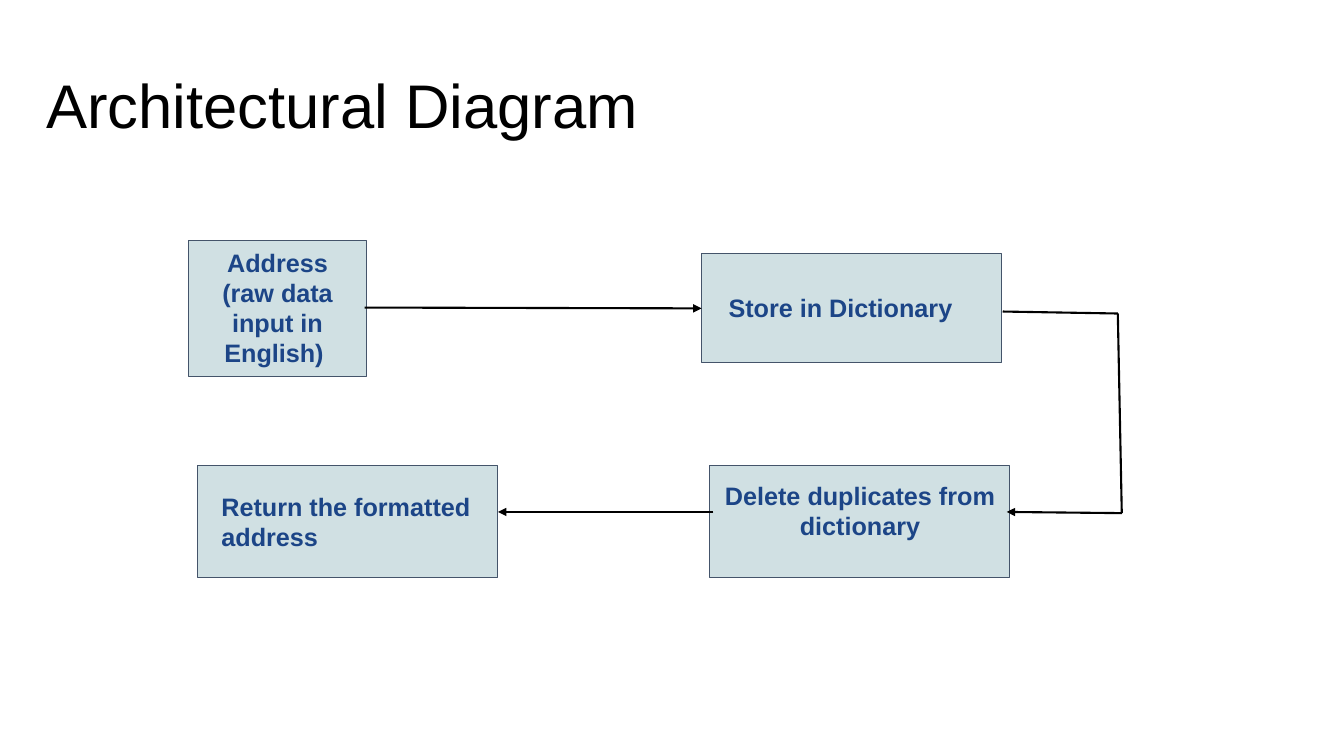
from lxml import etree
from pptx import Presentation
from pptx.dml.color import RGBColor
from pptx.enum.shapes import MSO_CONNECTOR, MSO_SHAPE
from pptx.enum.text import MSO_ANCHOR, MSO_AUTO_SIZE, PP_ALIGN
from pptx.oxml.ns import qn
from pptx.util import Cm, Pt

LEFT, CENTER = PP_ALIGN.LEFT, PP_ALIGN.CENTER
RECTANGLE = MSO_SHAPE.RECTANGLE
STRAIGHT = MSO_CONNECTOR.STRAIGHT
FONT = "Arial"
COLORS = {
    "title": "000000",
    "step_fill": "D0E0E3",
    "step_border": "44546A",
    "step_text": "1C4587",
    "flow": "000000",
}


def color(role):
    return RGBColor.from_string(COLORS[role])


def format_runs(paragraph, size, role, bold):
    for run in paragraph.runs:
        run.font.name = FONT
        run.font.size = Pt(size)
        run.font.bold = bold
        run.font.color.rgb = color(role)


presentation = Presentation()
presentation.slide_width, presentation.slide_height = Cm(33.87), Cm(19.05)
slide = presentation.slides.add_slide(presentation.slide_layouts[5])

# Title
title = slide.shapes.title
title.left, title.top, title.width, title.height = Cm(0.91), Cm(0.89), Cm(29.21), Cm(3.68)
heading = title.text_frame
heading.text = "Architectural Diagram"
heading.auto_size = MSO_AUTO_SIZE.NONE
heading.vertical_anchor = MSO_ANCHOR.MIDDLE
heading.paragraphs[0].alignment = LEFT
heading.paragraphs[0].line_spacing = 0.9
format_runs(heading.paragraphs[0], 44, "title", False)

# Steps: wording, alignment, box and label areas (left, top, width, height in cm)
steps = [
    ("Address\n(raw data input in English) ", CENTER,
     (4.75, 6.05, 4.5, 3.43), (4.8, 5.97, 4.39, 3.58)),
    ("Store in Dictionary", LEFT,
     (17.68, 6.4, 7.57, 2.74), (18.11, 7.11, 7.04, 1.27)),
    ("Delete duplicates from dictionary", CENTER,
     (17.88, 11.73, 7.57, 2.82), (17.98, 11.86, 7.39, 2.06)),
    ("Return the formatted address", LEFT,
     (4.98, 11.73, 7.57, 2.82), (5.33, 12.12, 6.83, 2.06)),
]
for wording, alignment, box_area, label_area in steps:
    box = slide.shapes.add_shape(RECTANGLE, *map(Cm, box_area))
    box.shadow.inherit = False
    box.fill.solid()
    box.fill.fore_color.rgb = color("step_fill")
    box.line.color.rgb = color("step_border")
    box.line.width = Pt(0.75)

    label = slide.shapes.add_textbox(*map(Cm, label_area)).text_frame
    label.word_wrap = True
    label.auto_size = MSO_AUTO_SIZE.SHAPE_TO_FIT_TEXT
    label.margin_left = label.margin_right = Cm(0.25)
    label.margin_top = label.margin_bottom = Cm(0.25)
    label.text = wording
    for paragraph in label.paragraphs:
        paragraph.alignment = alignment
        format_runs(paragraph, 18, "step_text", True)

# Flows between steps: points in cm, with an arrowhead at the last one
flows = [
    [(9.19, 7.75), (17.68, 7.77)],
    [(25.27, 7.85), (28.17, 7.9), (28.27, 12.93), (25.37, 12.9)],
    [(17.98, 12.9), (12.55, 12.9)],
]
for points in flows:
    for start, end in zip(points, points[1:]):
        segment = slide.shapes.add_connector(STRAIGHT, *map(Cm, start + end))
        segment.line.color.rgb = color("flow")
        segment.line.width = Pt(1.5)
        properties = segment.line._get_or_add_ln().getparent()
        etree.SubElement(properties, qn("a:effectLst"))
    etree.SubElement(properties.find(qn("a:ln")), qn("a:tailEnd"), type="triangle")

presentation.save("out.pptx")
